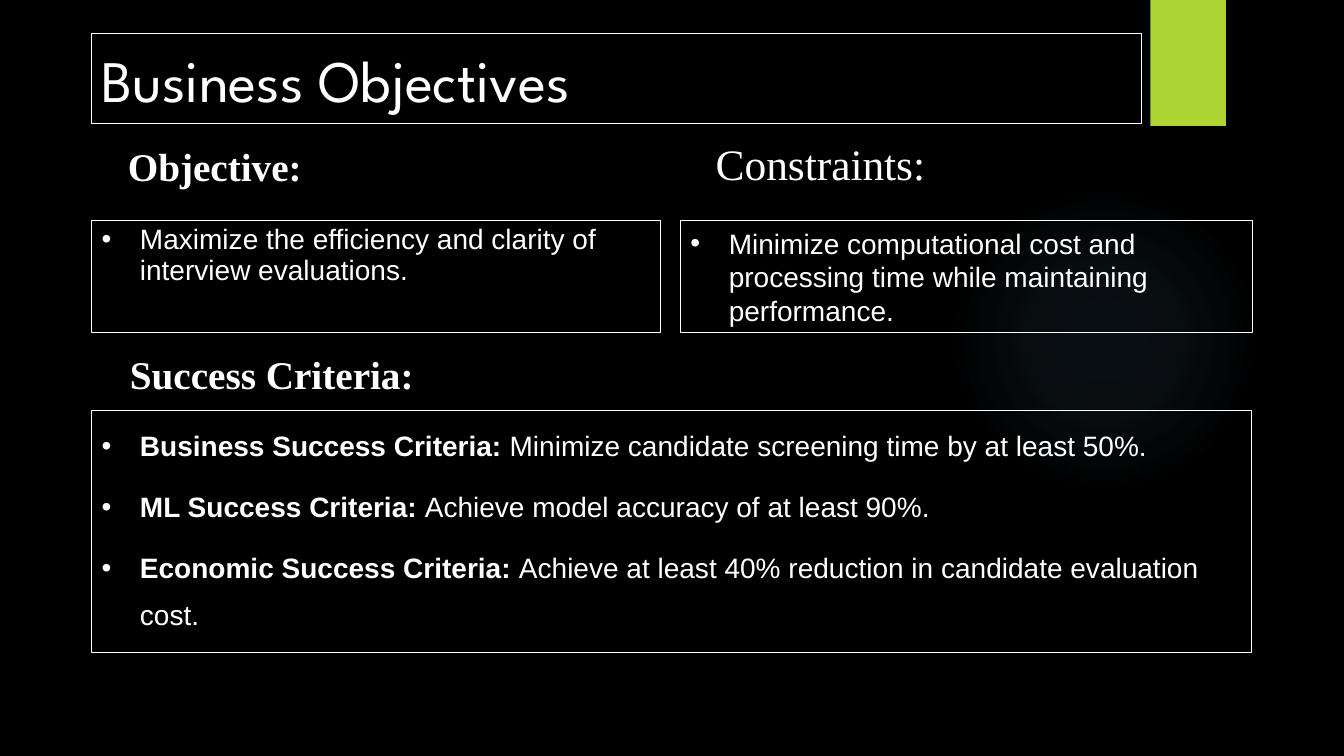
from lxml import etree
from pptx import Presentation
from pptx.dml.color import RGBColor
from pptx.enum.shapes import MSO_SHAPE as Shape
from pptx.enum.text import MSO_ANCHOR as Anchor, PP_ALIGN as Align
from pptx.oxml import parse_xml
from pptx.oxml.ns import nsdecls, qn
from pptx.util import Inches, Pt

BLACK = RGBColor(0x00, 0x00, 0x00)
WHITE = RGBColor(0xFF, 0xFF, 0xFF)
GREEN = RGBColor(0xAC, 0xD4, 0x33)
GLOW_BLUE = RGBColor(0x7A, 0xC4, 0xF0)
GLOW_STOPS = [(0, 7), (36, 6), (69, 0)]

LEFT = 0.91
RIGHT_COLUMN = 6.75
COLUMN_TOP = 2.19
COLUMN_HEIGHT = 1.11
HEADING_SIZE = (5.64, 0.9)

OBJECTIVE = [("", "Maximize the efficiency and clarity of interview evaluations.")]
CONSTRAINT = [("", "Minimize computational cost and processing time while maintaining performance.")]
CRITERIA = [
    ("Business Success Criteria: ", "Minimize candidate screening time by at least 50%."),
    ("ML Success Criteria: ", "Achieve model accuracy of at least 90%."),
    ("Economic Success Criteria: ",
     "Achieve at least 40% reduction in candidate evaluation cost."),
]


def add_block(slide, kind, box):
    """Add a preset shape without fill, line or shadow."""
    shape = slide.shapes.add_shape(kind, *map(Inches, box))
    shape.shadow.inherit = False
    shape.fill.background()
    shape.line.fill.background()
    return shape


def add_run(paragraph, text, font_name, size, bold=False):
    """Append a white run to a paragraph."""
    run = paragraph.add_run()
    run.text = text
    run.font.name = font_name
    run.font.size = Pt(size)
    run.font.bold = bold
    run.font.color.rgb = WHITE


def set_indent(paragraph, margin, first_line, bullet=False):
    """Set the hanging indent and, if asked, a white bullet."""
    properties = paragraph._p.get_or_add_pPr()
    properties.set("marL", str(Inches(margin)))
    properties.set("indent", str(Inches(first_line)))
    if bullet:
        color = etree.SubElement(properties, qn("a:buClr"))
        etree.SubElement(color, qn("a:srgbClr"), val=str(WHITE))
        etree.SubElement(properties, qn("a:buFont"), typeface="Arial")
        etree.SubElement(properties, qn("a:buChar"), char="•")


def add_framed_box(slide, box, anchor):
    """Add a white outlined box and return its text frame."""
    shape = add_block(slide, Shape.RECTANGLE, box)
    shape.line.color.rgb = WHITE
    shape.line.width = Pt(0.75)
    frame = shape.text_frame
    frame.word_wrap = True
    frame.vertical_anchor = anchor
    return frame


def add_decoration(slide, glow_box, tab_box):
    """Add the soft glow and the green tab at the top."""
    glow = add_block(slide, Shape.OVAL, glow_box)
    stops = "".join(
        f'<a:gs pos="{position * 1000}"><a:srgbClr val="{GLOW_BLUE}">'
        f'<a:alpha val="{alpha * 1000}"/></a:srgbClr></a:gs>'
        for position, alpha in GLOW_STOPS)
    gradient = parse_xml(
        f'<a:gradFill {nsdecls("a")}><a:gsLst>{stops}</a:gsLst><a:path path="circle">'
        '<a:fillToRect l="50000" t="50000" r="50000" b="50000"/></a:path></a:gradFill>')
    properties = glow._element.spPr
    properties.replace(properties.find(qn("a:noFill")), gradient)
    tab = add_block(slide, Shape.RECTANGLE, tab_box)
    tab.fill.solid()
    tab.fill.fore_color.rgb = GREEN


def add_title(slide, box, text):
    """Add the framed slide title."""
    paragraph = add_framed_box(slide, box, Anchor.MIDDLE).paragraphs[0]
    paragraph.alignment = Align.LEFT
    add_run(paragraph, text, "League Spartan", 42)


def add_heading(slide, left, top, text, size=28, bold=True):
    """Add a section heading that sits on the bottom of its box."""
    frame = slide.shapes.add_textbox(*map(Inches, (left, top, *HEADING_SIZE))).text_frame
    frame.word_wrap = True
    frame.vertical_anchor = Anchor.BOTTOM
    paragraph = frame.paragraphs[0]
    paragraph.line_spacing = 0.9
    paragraph.space_before = Pt(10)
    set_indent(paragraph, 0.5, -0.25)
    add_run(paragraph, text, "Times New Roman", size, bold)


def add_bullets(slide, box, items, line_spacing, space_before=10, anchor=Anchor.TOP):
    """Add a framed list whose items have an optional bold label."""
    frame = add_framed_box(slide, box, anchor)
    for index, (label, text) in enumerate(items):
        paragraph = frame.add_paragraph() if index else frame.paragraphs[0]
        paragraph.alignment = Align.LEFT
        paragraph.line_spacing = line_spacing
        paragraph.space_before = Pt(space_before)
        set_indent(paragraph, 0.38, -0.38, bullet=True)
        if label:
            add_run(paragraph, label, "Arial", 20, bold=True)
        add_run(paragraph, text, "Arial", 20)


def main():
    """Build and save the slide."""
    presentation = Presentation()
    presentation.slide_width = Inches(13.33)
    presentation.slide_height = Inches(7.5)
    slide = presentation.slides.add_slide(presentation.slide_layouts[6])
    slide.background.fill.solid()
    slide.background.fill.fore_color.rgb = BLACK

    add_decoration(slide, (9.41, 1.83, 3.08, 3.08), (11.41, 0, 0.75, 1.25))
    add_title(slide, (LEFT, 0.33, 10.41, 0.9), "Business Objectives")
    add_heading(slide, 0.92, 1.03, "Objective:")
    add_heading(slide, RIGHT_COLUMN, 1.03, "Constraints:", size=31, bold=False)
    add_bullets(slide, (LEFT, COLUMN_TOP, 5.64, COLUMN_HEIGHT), OBJECTIVE, 0.9)
    add_bullets(slide, (RIGHT_COLUMN, COLUMN_TOP, 5.67, COLUMN_HEIGHT), CONSTRAINT, 1.0,
                space_before=0, anchor=Anchor.MIDDLE)
    add_heading(slide, 0.94, 3.1, "Success Criteria:")
    add_bullets(slide, (LEFT, 4.07, 11.5, 2.4), CRITERIA, 1.4)
    presentation.save("out.pptx")


if __name__ == "__main__":
    main()
